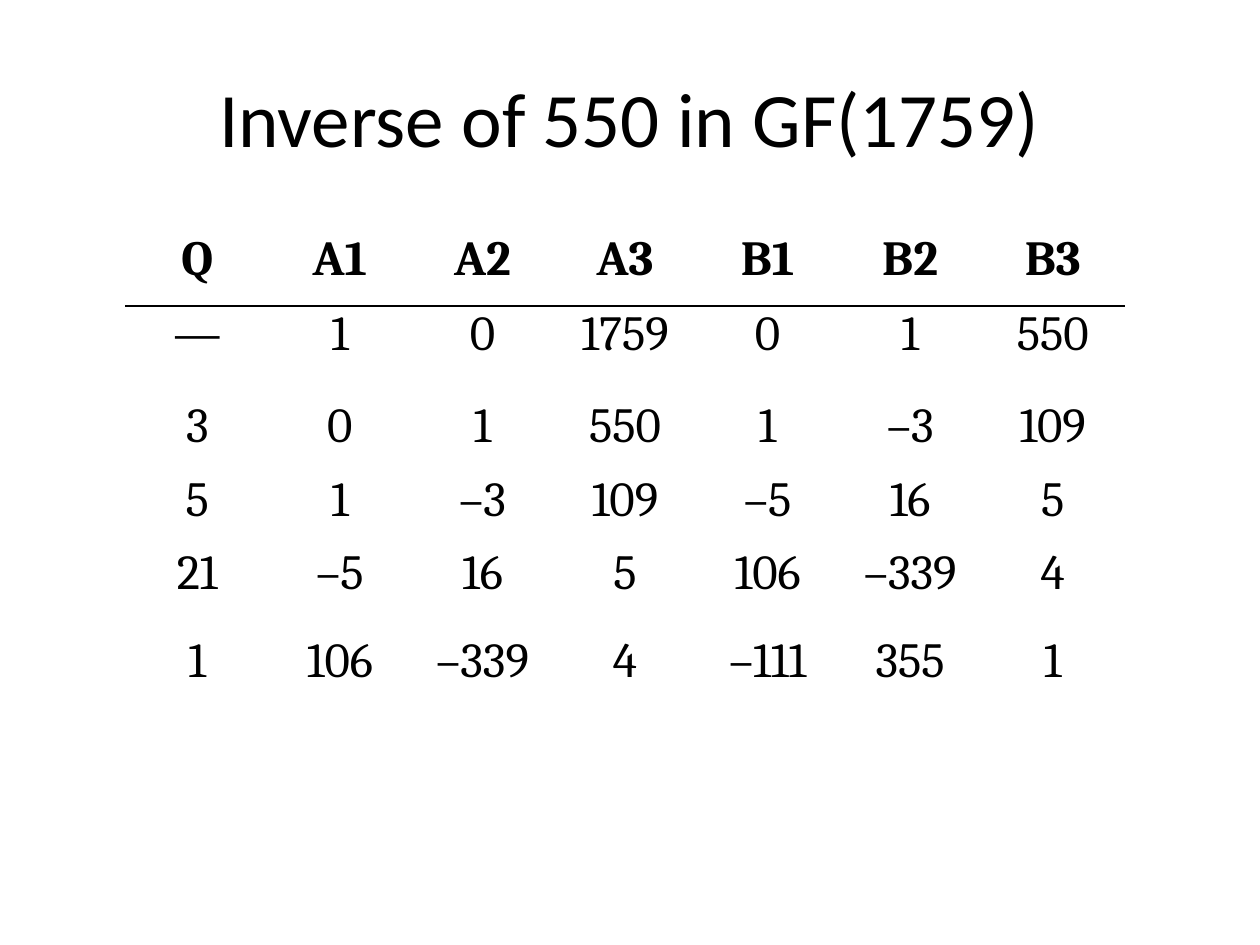
from lxml.etree import SubElement
from pptx import Presentation
from pptx.dml.color import RGBColor
from pptx.enum.text import MSO_ANCHOR as Anchor, PP_ALIGN as Align
from pptx.oxml.ns import qn
from pptx.util import Emu, Pt

EMU_PER_PX = 914400 / 126
BLACK = "000000"
TITLE_FORMAT = {"name": "Calibri", "size": Pt(44), "bold": False}
BODY_FORMAT = {"name": "Cambria", "size": Pt(28), "bold": False}
HEADER_FORMAT = {**BODY_FORMAT, "bold": True}
NO_MARGINS = {"margin_top": 0, "margin_bottom": 0}

ROW_HEIGHTS = [75, 92, 74, 74, 88, 132]
EUCLID_STEPS = [
    ["Q", "A1", "A2", "A3", "B1", "B2", "B3"],
    ["—", "1", "0", "1759", "0", "1", "550"],
    ["3", "0", "1", "550", "1", "–3", "109"],
    ["5", "1", "–3", "109", "–5", "16", "5"],
    ["21", "–5", "16", "5", "106", "–339", "4"],
    ["1", "106", "–339", "4", "–111", "355", "1"],
]


def px(length):
    return Emu(round(length * EMU_PER_PX))


def color(hex_value):
    return RGBColor.from_string(hex_value)


def set_all(target, values):
    for name, value in values.items():
        setattr(target, name, value)


def write_centered(frame, text, font_format):
    para = frame.paragraphs[0]
    para.alignment = Align.CENTER
    span = para.add_run()
    span.text = text
    set_all(span.font, font_format)
    span.font.color.rgb = color(BLACK)
    return para


def add_rule(cell, side, hex_value):
    """Draw a one-point border on one side of a cell."""
    line = SubElement(cell._tc.get_or_add_tcPr(), qn(f"a:{side}"), w=str(Pt(1)))
    fill = SubElement(line, qn("a:solidFill"))
    SubElement(fill, qn("a:srgbClr"), val=hex_value)


def add_title(page, left, top, width, height):
    box = page.shapes.add_textbox(px(left), px(top), px(width), px(height))
    set_all(box.text_frame, {"word_wrap": True, "vertical_anchor": Anchor.MIDDLE})
    write_centered(box.text_frame, "Inverse of 550 in GF(1759)", TITLE_FORMAT)


def add_steps_table(page, left, top, width):
    column_count = len(EUCLID_STEPS[0])
    table = page.shapes.add_table(
        len(EUCLID_STEPS), column_count,
        px(left), px(top), px(width), px(sum(ROW_HEIGHTS)),
    ).table
    set_all(table, {"first_row": False, "horz_banding": False})
    for column in table.columns:
        column.width = px(width / column_count)
    for r, (height, values) in enumerate(zip(ROW_HEIGHTS, EUCLID_STEPS)):
        table.rows[r].height = px(height)
        for c, value in enumerate(values):
            cell = table.cell(r, c)
            set_all(cell, NO_MARGINS)
            # The rule under the header is shared by the first two rows
            if r < 2:
                add_rule(cell, "lnT" if r else "lnB", BLACK)
            cell.fill.background()
            font_format = BODY_FORMAT if r else HEADER_FORMAT
            para = write_centered(cell.text_frame, value, font_format)
            para.space_after = Pt(3)


def main():
    deck = Presentation()
    set_all(deck, {"slide_width": px(1260), "slide_height": px(945)})
    page = deck.slides.add_slide(deck.slide_layouts[6])
    add_title(page, 63, 38, 1134, 157)
    add_steps_table(page, 126, 231, 998)
    deck.save("out.pptx")


if __name__ == "__main__":
    main()
